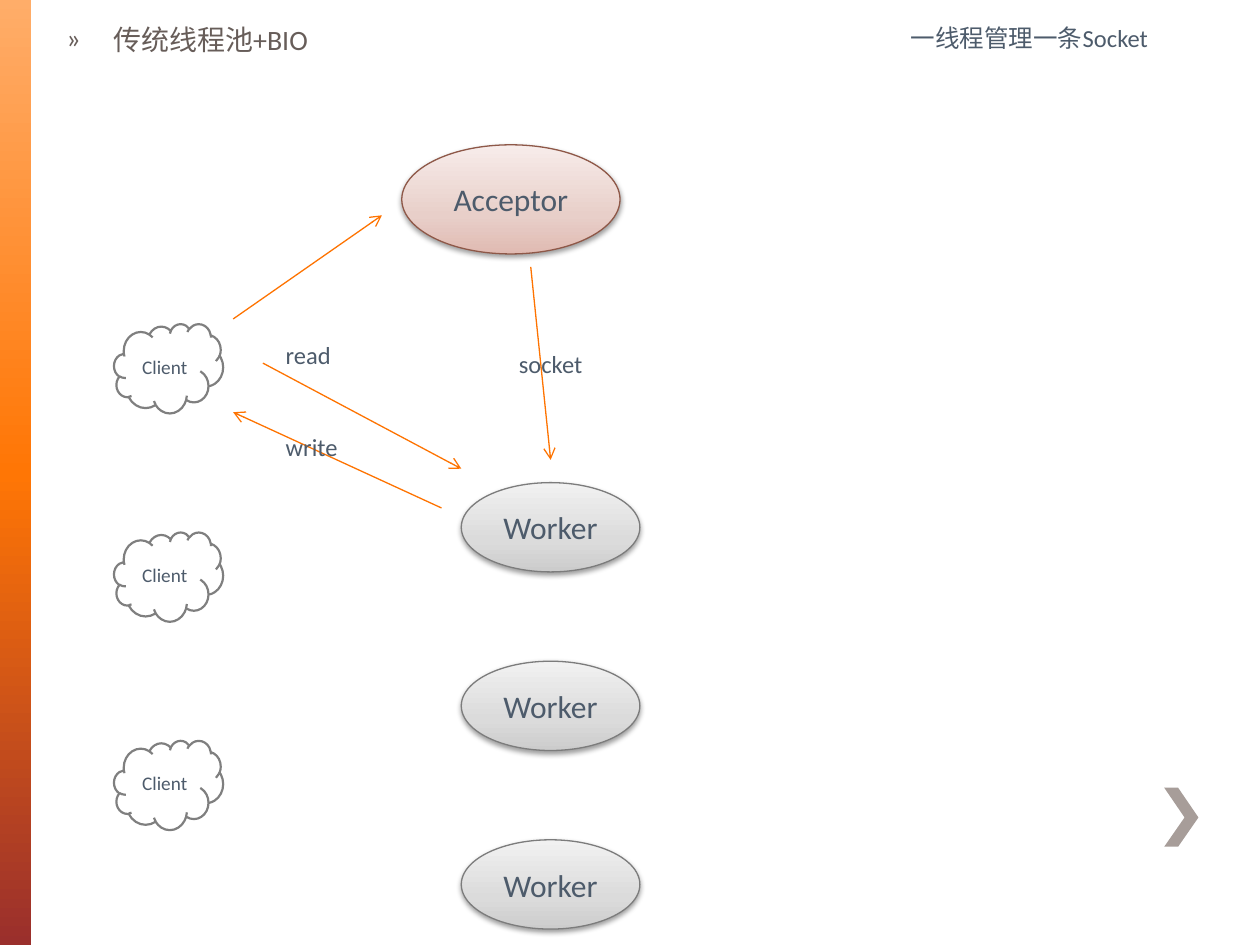
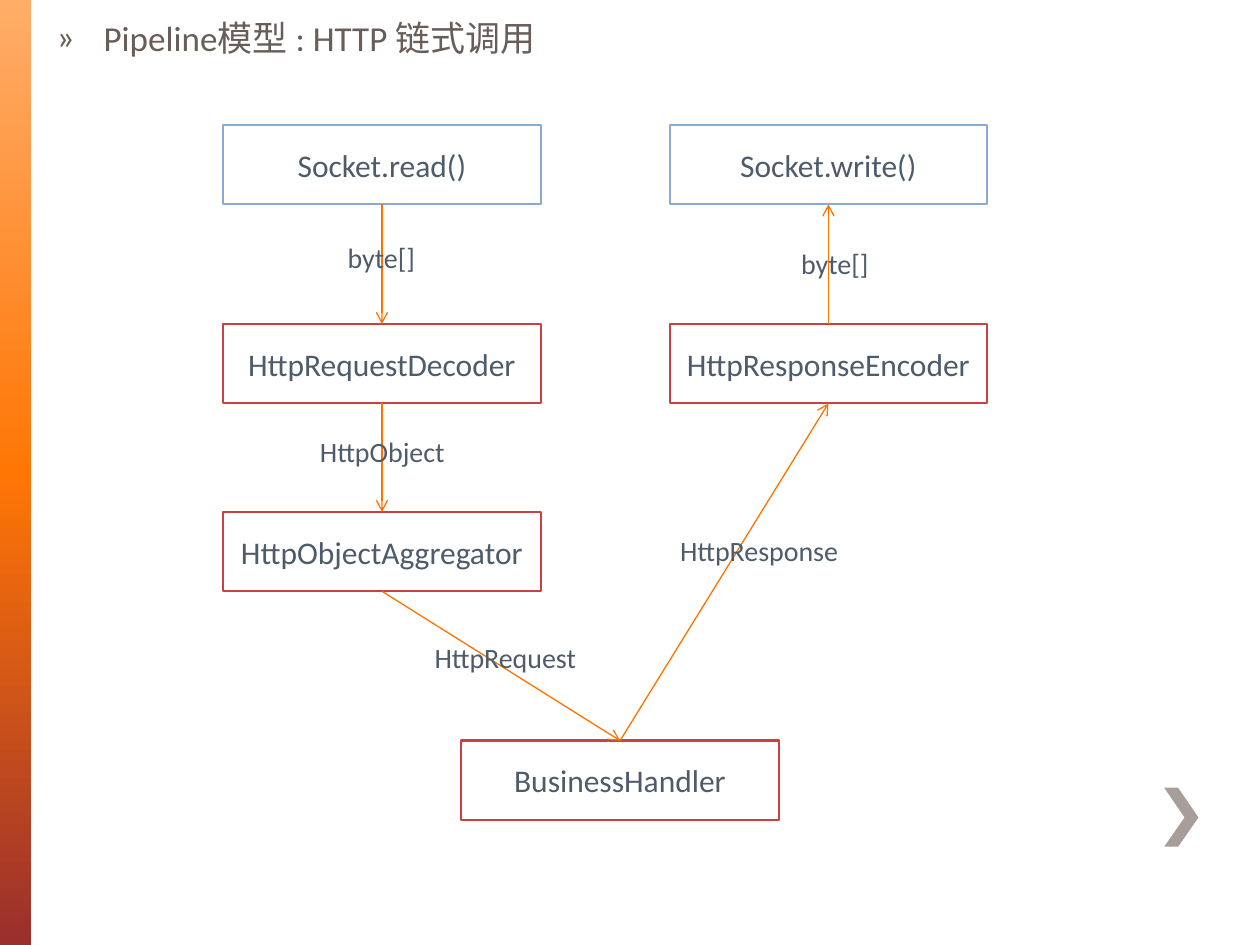
import pptx
import pptx.util
import pptx.dml.color
import pptx.enum.shapes
import pptx.enum.text
import pptx.oxml.ns
from lxml import etree

Cm, Pt = pptx.util.Cm, pptx.util.Pt
RGB = pptx.dml.color.RGBColor
KIND = pptx.enum.shapes.MSO_SHAPE
ALIGN = pptx.enum.text.PP_ALIGN
ANCHOR = pptx.enum.text.MSO_ANCHOR
qn = pptx.oxml.ns.qn

WHITE = RGB(0xFF, 0xFF, 0xFF)
INK = RGB(0x4D, 0x5B, 0x6B)
TITLE = RGB(0x67, 0x5D, 0x59)
ORANGE = RGB(0xFE, 0x73, 0x00)
TAUPE = RGB(0xA7, 0x9D, 0x99)
GREY = RGB(0x7F, 0x7F, 0x7F)
STEEL = RGB(0x7C, 0x7C, 0x7C)
BROWN = RGB(0x8E, 0x58, 0x48)
BLUE = RGB(0x89, 0xAA, 0xD3)
RED = RGB(0xC8, 0x43, 0x40)
BAND = [(0, RGB(0xFF, 0xAD, 0x69)), (50, RGB(0xFF, 0x76, 0x05)),
        (100, RGB(0x9A, 0x2F, 0x2C))]
ROSE = [(0, RGB(0xE0, 0xBA, 0xB2)), (35, RGB(0xE8, 0xCF, 0xC9)),
        (100, RGB(0xF7, 0xEC, 0xEA))]
SILVER = [(0, RGB(0xCC, 0xCC, 0xCC)), (35, RGB(0xDB, 0xDB, 0xDB)),
          (100, RGB(0xF1, 0xF1, 0xF1))]
LATIN, HAN = "Calibri", "Noto Sans CJK SC"

# All places and sizes are in centimetres.
WIDE, HIGH = 25.4, 19.05
CHEVRON = [(23.75, 15.88), (23.47, 15.88), (23.88, 16.48),
           (23.47, 17.07), (23.75, 17.07), (24.16, 16.48)]

# Thread pool slide
POOL_TITLE = ("传统线程池+BIO", 1.09, 0.33, 16)
ACCEPTOR = (8.1, 2.92, 4.4, 2.2)
WORKERS = [(9.3, 9.73 + 3.6 * i, 3.6, 1.8) for i in range(3)]
CLIENTS = [(2.3, 6.53 + 4.2 * i, 2.2, 1.8) for i in range(3)]
POOL_LINES = [
    ((4.7, 6.43), (7.7, 4.34)),
    ((5.3, 7.32), (9.3, 9.45)),
    ((8.9, 10.24), (4.7, 8.31)),
    ((10.7, 5.38), (11.1, 9.27)),
]
POOL_NOTES = [
    ("read", 5.51, 6.73, 2.95),
    ("write", 5.51, 8.59, 2.6),
    ("socket", 10.21, 6.91, 2.4),
    ("一线程管理一条Socket", 18.11, 0.33, 6.6),
]

# Pipeline slide
PIPE_TITLE = ("Pipeline模型 : HTTP 链式调用", 0.89, 0.2, 20)
BOX = (6.4, 1.6)
LEFT, MID, RIGHT = 4.5, 9.3, 13.5
ROWS = [2.52, 6.53, 10.32, 14.93]
STEPS = [
    ("Socket.read()", LEFT, ROWS[0], BLUE),
    ("HttpRequestDecoder", LEFT, ROWS[1], RED),
    ("HttpObjectAggregator", LEFT, ROWS[2], RED),
    ("BusinessHandler", MID, ROWS[3], RED),
    ("HttpResponseEncoder", RIGHT, ROWS[1], RED),
    ("Socket.write()", RIGHT, ROWS[0], BLUE),
]
TOP, BOTTOM = 0, 2
SIDES = [(BOTTOM, TOP)] * 3 + [(TOP, BOTTOM)] * 2
PIPE_NOTES = [
    ("byte[]", 6.76, 4.72, 2),
    ("HttpObject", 6.2, 8.64, 3.1),
    ("HttpRequest", 8.51, 12.78, 3.4),
    ("HttpResponse", 13.46, 10.64, 3.84),
    ("byte[]", 15.9, 4.85, 2),
]


def cms(values):
    return [Cm(v) for v in values]


def write(frame, text, size, color=INK):
    frame.word_wrap = True
    para = frame.paragraphs[0]
    para.text = text
    for run in para.runs:
        font = run.font
        font.size, font.name, font.color.rgb = Pt(size), LATIN, color
        etree.SubElement(run._r.get_or_add_rPr(), qn("a:ea"), typeface=HAN)
    return para


def blend(shape, stops, angle):
    """Fill with a gradient of any number of stops."""
    shape.fill.gradient()
    shape.fill.gradient_angle = angle
    group = shape._element.spPr.find(qn("a:gradFill")).find(qn("a:gsLst"))
    for stop in list(group):
        group.remove(stop)
    for place, color in stops:
        stop = etree.SubElement(group, qn("a:gs"), pos=str(place * 1000))
        etree.SubElement(stop, qn("a:srgbClr"), val=str(color))


def cast(shape):
    """Add a soft shadow below the shape."""
    effects = shape._element.spPr.find(qn("a:effectLst"))
    shade = etree.SubElement(effects, qn("a:outerShdw"), blurRad=str(Pt(3.1)),
                             dist=str(Pt(1.6)), dir="5400000", rotWithShape="0")
    color = etree.SubElement(shade, qn("a:srgbClr"), val="000000")
    etree.SubElement(color, qn("a:alpha"), val="38000")


def node(slide, kind, place, text, size, edge, width):
    shape = slide.shapes.add_shape(kind, *cms(place))
    shape.shadow.inherit = False
    shape.fill.solid()
    shape.fill.fore_color.rgb = WHITE
    shape.line.color.rgb = edge
    shape.line.width = Pt(width)
    frame = shape.text_frame
    frame.margin_left = frame.margin_right = 0
    frame.vertical_anchor = ANCHOR.MIDDLE
    write(frame, text, size).alignment = ALIGN.CENTER
    return shape


def oval(slide, place, text, stops, edge):
    shape = node(slide, KIND.OVAL, place, text, 18, edge, 0.75)
    blend(shape, stops, 90)
    cast(shape)


def arrow(slide, start=(0, 0), end=(0, 0), joins=None):
    """Draw an arrow between points, or between (shape, side) joins."""
    line = slide.shapes.add_connector(
        pptx.enum.shapes.MSO_CONNECTOR.STRAIGHT, *cms(start + end))
    if joins:
        line.begin_connect(*joins[0])
        line.end_connect(*joins[1])
    line.line.color.rgb = ORANGE
    line.line.width = Pt(0.75)
    etree.SubElement(line.line._get_or_add_ln(), qn("a:tailEnd"), type="arrow")
    etree.SubElement(line._element.spPr, qn("a:effectLst"))


def note(slide, text, left, top, width, size):
    box = slide.shapes.add_textbox(*cms((left, top, width, 0.9)))
    write(box.text_frame, text, size)


def start(deck, text, left, top, size):
    """Add a slide with the side band, the chevron and a bulleted title."""
    slide = deck.slides.add_slide(deck.slide_layouts[6])
    band = slide.shapes.add_shape(KIND.RECTANGLE, *cms((0, 0, 0.63, HIGH)))
    band.shadow.inherit = False
    band.line.fill.background()
    blend(band, BAND, 270)

    points = [cms(point) for point in CHEVRON]
    pen = slide.shapes.build_freeform(*points[0])
    pen.add_line_segments(points[1:], close=True)
    mark = pen.convert_to_shape()
    mark.shadow.inherit = False
    mark.fill.solid()
    mark.fill.fore_color.rgb = TAUPE
    mark.line.fill.background()

    box = slide.shapes.add_textbox(*cms((left, top, 10.2, 1.2)))
    props = write(box.text_frame, text, size, TITLE)._p.get_or_add_pPr()
    props.set("marL", str(Cm(0.95)))
    props.set("indent", str(-Cm(0.95)))
    etree.SubElement(props, qn("a:buFont"), typeface=LATIN)
    etree.SubElement(props, qn("a:buChar"), char="»")
    return slide


def pool(deck):
    slide = start(deck, *POOL_TITLE)
    oval(slide, ACCEPTOR, "Acceptor", ROSE, BROWN)
    for place in WORKERS:
        oval(slide, place, "Worker", SILVER, STEEL)
    for place in CLIENTS:
        node(slide, KIND.CLOUD, place, "Client", 11, GREY, 1.25)
    for ends in POOL_LINES:
        arrow(slide, *ends)
    for item in POOL_NOTES:
        note(slide, *item, 14)


def pipe(deck):
    slide = start(deck, *PIPE_TITLE)
    boxes = [node(slide, KIND.RECTANGLE, (left, top, *BOX), text, 18, edge, 1.25)
             for text, left, top, edge in STEPS]
    for first, second, (out, into) in zip(boxes, boxes[1:], SIDES):
        arrow(slide, joins=((first, out), (second, into)))
    for item in PIPE_NOTES:
        note(slide, *item, 16)


def main():
    deck = pptx.Presentation()
    deck.slide_width, deck.slide_height = cms((WIDE, HIGH))
    pool(deck)
    pipe(deck)
    deck.save("out.pptx")


if __name__ == "__main__":
    main()
